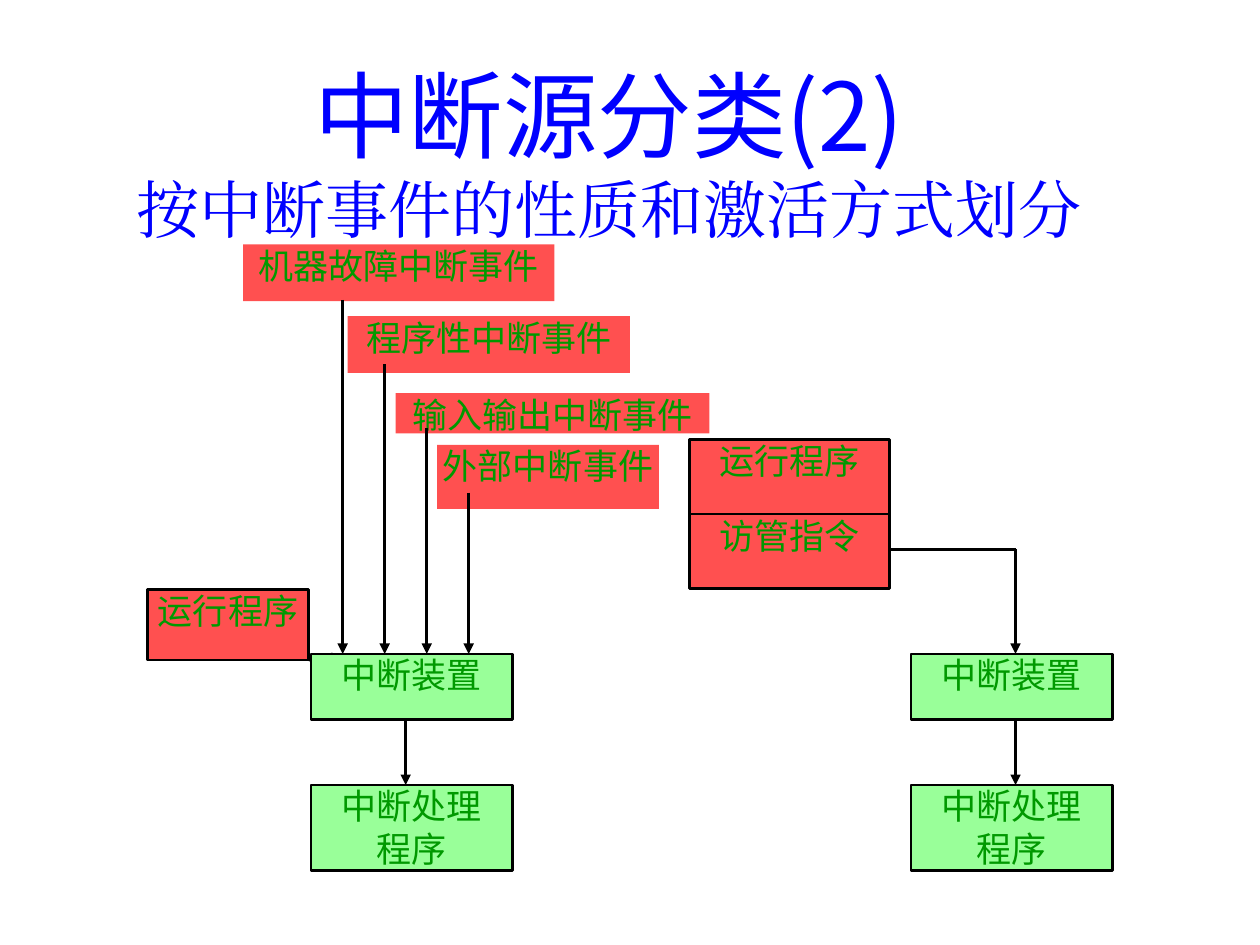
from lxml import etree
from pptx import Presentation
from pptx.dml.color import RGBColor
from pptx.enum.shapes import MSO_CONNECTOR, MSO_SHAPE
from pptx.enum.text import MSO_ANCHOR, MSO_AUTO_SIZE, PP_ALIGN
from pptx.oxml.ns import qn
from pptx.util import Inches, Pt

RECTANGLE = MSO_SHAPE.RECTANGLE
STRAIGHT = MSO_CONNECTOR.STRAIGHT
TOP, MIDDLE = MSO_ANCHOR.TOP, MSO_ANCHOR.MIDDLE
CENTER = PP_ALIGN.CENTER
NO_AUTOFIT = MSO_AUTO_SIZE.NONE
TITLE_ONLY = 5

SANS, SERIF = "Noto Sans CJK JP", "Times New Roman"
BLUE, RED, LIGHT_GREEN, GREEN, BLACK = "0000FF", "FF5050", "99FF99", "009900", "000000"
LABEL = {"name": SANS, "size": Pt(20), "bold": False}
HEADING = {"name": SANS, "size": Pt(54), "bold": False}
SUBHEADING = {"name": SERIF, "size": Pt(36), "bold": False}
LINE_WIDTH = Pt(1.5)
DEVICE_HEIGHT, HANDLER_HEIGHT = 0.52, 0.68


def color(hex_string):
    return RGBColor.from_string(hex_string)


def format_run(run, values, font_color):
    for name, value in values.items():
        setattr(run.font, name, value)
    run.font.color.rgb = color(font_color)
    east_asian = etree.SubElement(run.font._element, qn("a:ea"))
    east_asian.set("typeface", values["name"])


def add_title(slide, left, top, width, height):
    title = slide.shapes.title
    title.left, title.top = Inches(left), Inches(top)
    title.width, title.height = Inches(width), Inches(height)
    frame = title.text_frame
    frame.word_wrap = True
    frame.auto_size = NO_AUTOFIT
    frame.vertical_anchor = MIDDLE
    paragraph = frame.paragraphs[0]
    paragraph.alignment = CENTER
    heading = paragraph.add_run()
    heading.text = "中断源分类(2)"
    format_run(heading, HEADING, BLUE)
    paragraph.add_line_break()
    subheading = paragraph.add_run()
    subheading.text = "按中断事件的性质和激活方式划分"
    format_run(subheading, SUBHEADING, BLUE)


def add_box(slide, left, top, width, height, lines, fill, outlined=True):
    shape = slide.shapes.add_shape(
        RECTANGLE, Inches(left), Inches(top), Inches(width), Inches(height))
    shape.shadow.inherit = False
    shape.fill.solid()
    shape.fill.fore_color.rgb = color(fill)
    if outlined:
        shape.line.color.rgb = color(BLACK)
        shape.line.width = LINE_WIDTH
    else:
        shape.line.fill.background()
    frame = shape.text_frame
    frame.word_wrap = True
    frame.vertical_anchor = TOP
    for side in ("left", "top", "right", "bottom"):
        setattr(frame, f"margin_{side}", 0)
    for index, line in enumerate(lines):
        paragraph = frame.add_paragraph() if index else frame.paragraphs[0]
        paragraph.alignment = CENTER
        run = paragraph.add_run()
        run.text = line
        format_run(run, LABEL, GREEN)


def add_line(slide, start, end, arrow=True):
    connector = slide.shapes.add_connector(STRAIGHT, *map(Inches, start + end))
    connector.line.color.rgb = color(BLACK)
    connector.line.width = LINE_WIDTH
    if arrow:
        tail = etree.SubElement(connector.line._get_or_add_ln(), qn("a:tailEnd"))
        tail.set("type", "triangle")
    etree.SubElement(connector._element.spPr, qn("a:effectLst"))


def add_handling(slide, left, top, width, height, arrow_x):
    """Interrupt device above, handler program below, joined by an arrow."""
    handler_top = top + height - HANDLER_HEIGHT
    add_box(slide, left, handler_top, width, HANDLER_HEIGHT, ["中断处理", "程序"], LIGHT_GREEN)
    add_box(slide, left, top, width, DEVICE_HEIGHT, ["中断装置"], LIGHT_GREEN)
    add_line(slide, (arrow_x, top + DEVICE_HEIGHT), (arrow_x, handler_top))


def add_forced_interrupts(slide, left, top, width, height):
    """Four event labels with evenly stepped arrows down to the device."""
    bottom = top + height
    events = [
        ("机器故障中断事件", 0, 0, 2.47, 0.45),
        ("程序性中断事件", 0.83, 0.57, 2.24, 0.45),
        ("输入输出中断事件", 1.21, 1.18, width - 1.21, 0.32),
        ("外部中断事件", 1.54, 1.59, 1.76, 0.51),
    ]
    for label, x, y, box_width, box_height in events:
        add_box(slide, left + x, top + y, box_width, box_height, [label], RED, outlined=False)
    for index in range(len(events)):
        x = left + 0.79 + index / 3
        add_line(slide, (x, top + 0.44 + 0.51 * index), (x, bottom))


def add_running_program(slide, left, top, width, height):
    add_box(slide, left, top, width, height, ["运行程序"], RED)
    right, bottom = left + width, top + height
    add_line(slide, (right + 0.19, bottom - 0.05), (right, bottom), arrow=False)


def add_voluntary_interrupt(slide, left, top, width, height, device_x, device_top):
    """Program with a supervisor call, and its path to the device."""
    half = height / 2
    for index, label in enumerate(["运行程序", "访管指令"]):
        add_box(slide, left, top + half * index, width, half, [label], RED)
    call_y = top + 0.87
    add_line(slide, (device_x, call_y), (device_x, device_top))
    add_line(slide, (device_x, call_y), (left + width, call_y), arrow=False)


def main():
    presentation = Presentation()
    presentation.slide_width, presentation.slide_height = Inches(10), Inches(7.5)
    slide = presentation.slides.add_slide(presentation.slide_layouts[TITLE_ONLY])
    add_title(slide, 0.58, 0.58, 8.5, 1.25)
    add_running_program(slide, 1.17, 4.68, 1.28, 0.56)
    add_handling(slide, 2.47, 5.19, 1.6, 1.72, arrow_x=3.22)
    add_handling(slide, 7.23, 5.19, 1.6, 1.72, arrow_x=8.06)
    add_forced_interrupts(slide, 1.93, 1.94, 3.7, 3.25)
    add_voluntary_interrupt(slide, 5.47, 3.49, 1.59, 1.18, device_x=8.06, device_top=5.19)
    presentation.save("out.pptx")


if __name__ == "__main__":
    main()
